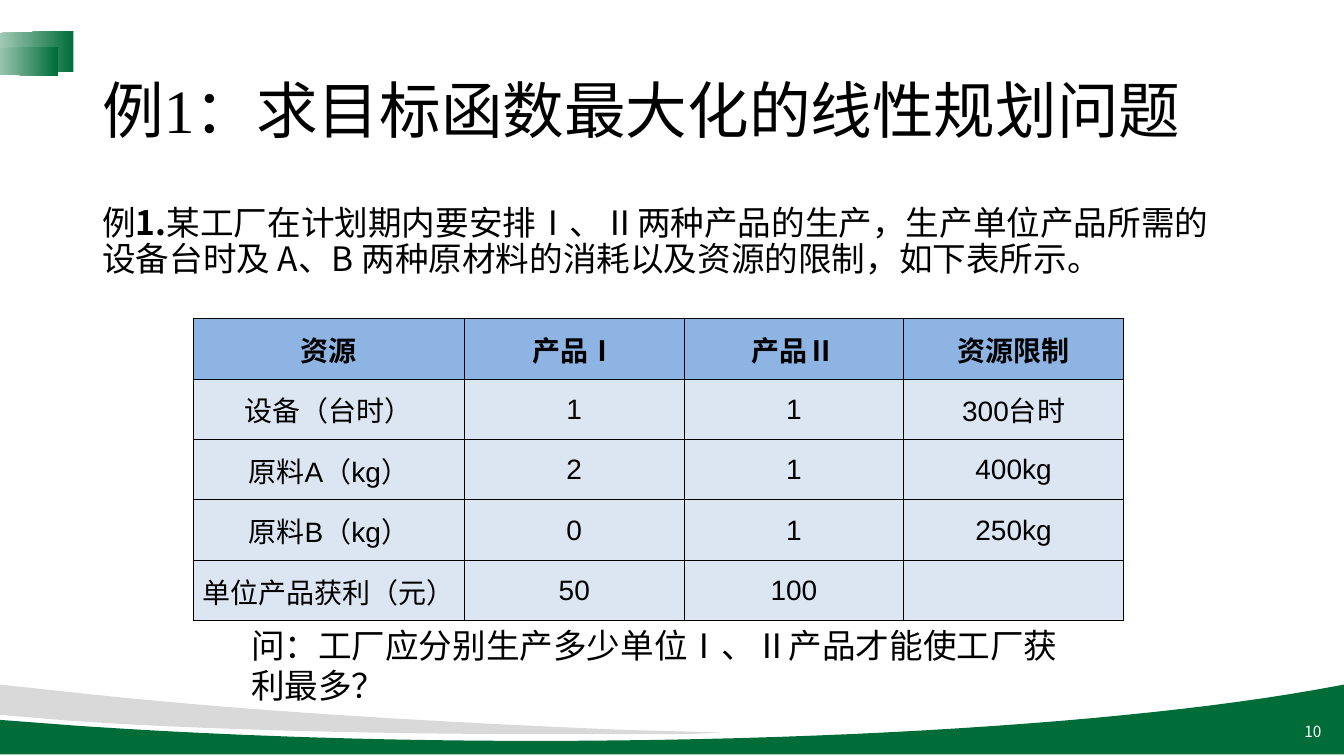
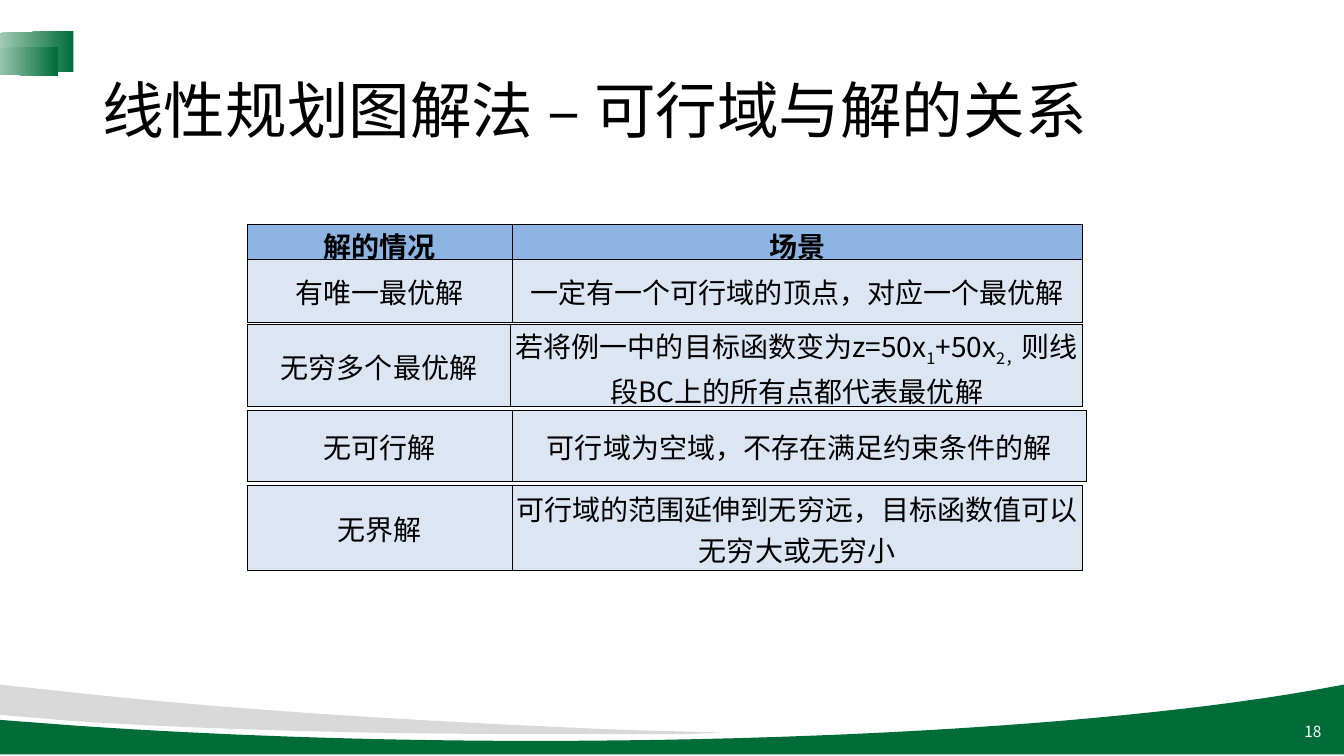
import pptx
import pptx.dml.color
import pptx.enum.shapes
import pptx.enum.text
import pptx.oxml
import pptx.oxml.ns
import pptx.util

# The slide is a grid of 160 columns by 90 rows of square cells.
CELL = pptx.util.Inches(1) / 12
GREEN, MIST, GREY = "006D39", "C4DDD0", "D9D9D9"
HEAD, BODY, BLACK, WHITE = "8DB4E2", "DCE6F2", "000000", "FFFFFF"
SANS, SERIF, ARIAL = "Noto Sans CJK SC", "Times New Roman", "Arial"
MIDDLE = pptx.enum.text.MSO_ANCHOR.MIDDLE
LEFT = pptx.enum.text.PP_ALIGN.LEFT
CENTER = pptx.enum.text.PP_ALIGN.CENTER
RIGHT = pptx.enum.text.PP_ALIGN.RIGHT
NS = pptx.oxml.ns.nsdecls("a")

# Outlines: a pair is a straight step, six numbers are a Bezier curve.
SWOOSHES = [
    (GREEN, [(160, 81.5), (160, 89.8), (0, 89.8), (0, 85.7), (9.2, 86.4),
             (25.4, 87.5, 44, 88.2, 63.8, 88.2),
             (103.4, 88.2, 138.4, 85.6, 158.9, 81.7)]),
    (GREY, [(0, 81.5), (8.4, 82.4), (27.5, 84.5, 50, 85.9, 74.6, 86.9),
            (85.8, 87.2), (82.1, 87.4), (76.8, 87.4, 71.3, 87.4, 65.8, 87.4),
            (43.3, 87.4, 23, 86.8, 8.3, 85.8), (0, 85.1)]),
]
TABS = [(1, 0.8, 4.9, 10.6), (0.7, 2.9, 3.5, 8.8)]

# Texts: box, line spacing, runs. Tables: left, top, columns, rows, cells.
SLIDES = [
    dict(number="10", title="例1：求目标函数最大化的线性规划问题", font=ARIAL,
         texts=[
             ((11, 24, 138, 57.1), 0.9, [
                 ("例", ""), ("1.", "bold"),
                 ("某工厂在计划期内要安排Ⅰ、Ⅱ两种产品的生产，生产单位产品所需的"
                  "设备台时及 A、B 两种原材料的消耗以及资源的限制，如下表所示。", "")]),
             ((28.7, 73.8, 99.2, 11.4), 1, [
                 ("问：工厂应分别生产多少单位Ⅰ、Ⅱ产品才能使工厂获利最多？", "")]),
         ],
         tables=[(23, 37.9, [32.3] + [26.15] * 3, [7.2] * 5, [
             ["资源", "产品Ⅰ", "产品Ⅱ", "资源限制"],
             ["设备（台时）", "1", "1", "300台时"],
             ["原料A（kg）", "2", "1", "400kg"],
             ["原料B（kg）", "0", "1", "250kg"],
             ["单位产品获利（元）", "50", "100", ""]])]),
    dict(number="18", title="线性规划图解法 – 可行域与解的关系", font=SANS, texts=[],
         tables=[
             (29.4, 26.7, [31.55, 67.9], [4.1, 7.6], [
                 ["解的情况", "场景"],
                 ["有唯一最优解", "一定有一个可行域的顶点，对应一个最优解"]]),
             (29.45, 38.6, [31.35, 68.1], [9.8], [
                 ["无穷多个最优解", [
                     ("若将例一中的目标函数变为z=50x", ""), ("1", "sub"),
                     ("+50x", ""), ("2，", "sub"),
                     ("则线段BC上的所有点都代表最优解", "")]]]),
             (29.4, 48.85, [31.65, 68.25], [8.5], [
                 ["无可行解", "可行域为空域，不存在满足约束条件的解"]]),
             (29.4, 57.75, [31.55, 67.9], [10.2], [
                 ["无界解", "可行域的范围延伸到无穷远，目标函数值可以无穷大或无穷小"]]),
         ]),
]


def rgb(value):
    return pptx.dml.color.RGBColor.from_string(value)


def write(tf, runs, font, size, color=BLACK, align=LEFT, spacing=1):
    """Fill the first paragraph with (text, style) runs; style is "", "bold" or "sub"."""
    tf.word_wrap = True
    p = tf.paragraphs[0]
    p.alignment, p.line_spacing = align, spacing
    for text, style in runs:
        r = p.add_run()
        r.text = text
        r.font.name, r.font.size = font, pptx.util.Pt(size)
        r.font.bold = style == "bold"
        r.font.color.rgb = rgb(color)
        rPr = r._r.get_or_add_rPr()
        rPr.append(pptx.oxml.parse_xml(f'<a:ea {NS} typeface="{SANS}"/>'))
        if style == "sub":
            rPr.set("baseline", "-25000")


prs = pptx.Presentation()
prs.slide_width, prs.slide_height = int(160 * CELL), int(90 * CELL)

for page in SLIDES:
    s = prs.slides.add_slide(prs.slide_layouts[6])

    for color, outline in SWOOSHES:
        points = [outline[0]]
        for step in outline[1:]:
            if len(step) == 2:
                points.append(step)
                continue
            x0, y0 = points[-1]
            x1, y1, x2, y2, x3, y3 = step
            for t in [i / 24 for i in range(1, 25)]:
                a, b, c, d = (1 - t) ** 3, 3 * t * (1 - t) ** 2, 3 * t * t * (1 - t), t ** 3
                points.append((a * x0 + b * x1 + c * x2 + d * x3,
                               a * y0 + b * y1 + c * y2 + d * y3))
        points = [(x * CELL, y * CELL) for x, y in points]
        builder = s.shapes.build_freeform(*points[0])
        builder.add_line_segments(points[1:])
        sp = builder.convert_to_shape()
        sp.shadow.inherit = False
        sp.fill.solid()
        sp.fill.fore_color.rgb = rgb(color)
        sp.line.fill.background()

    for box in TABS:
        sp = s.shapes.add_shape(pptx.enum.shapes.MSO_SHAPE.TRAPEZOID,
                                *[int(v * CELL) for v in box])
        sp.adjustments[0] = 0.07
        sp.rotation = 270
        sp.shadow.inherit = False
        sp.line.fill.background()
        sp.fill.gradient()
        sp.fill.gradient_angle = 270
        for stop, color, position in zip(sp.fill.gradient_stops, (MIST, GREEN), (0, 1)):
            stop.color.rgb, stop.position = rgb(color), position

    texts = [
        ((122.5, 84.7, 36, 4.8), 1, [(page["number"], "")], SANS, 11, WHITE, RIGHT, MIDDLE),
        ((11, 4.8, 138, 17.4), 0.9, [(page["title"], "")], SERIF, 44, BLACK, LEFT, MIDDLE),
    ] + [(*text, SANS, 24, BLACK, LEFT, pptx.enum.text.MSO_ANCHOR.TOP)
         for text in page["texts"]]
    for box, spacing, runs, font, size, color, align, anchor in texts:
        tf = s.shapes.add_textbox(*[int(v * CELL) for v in box]).text_frame
        tf.vertical_anchor = anchor
        write(tf, runs, font, size, color, align, spacing)

    for number, (left, top, widths, heights, rows) in enumerate(page["tables"]):
        frame = s.shapes.add_table(
            len(rows), len(widths),
            *[int(v * CELL) for v in (left, top, sum(widths), sum(heights))])
        table = frame.table
        table.first_row = table.horz_banding = False
        for column, width in zip(table.columns, widths):
            column.width = int(width * CELL)
        for i, (height, row) in enumerate(zip(heights, rows)):
            table.rows[i].height = int(height * CELL)
            header = number == 0 and i == 0
            for j, content in enumerate(row):
                cell = table.cell(i, j)
                cell.vertical_anchor = MIDDLE
                cell.margin_left = cell.margin_right = cell.margin_top = pptx.util.Inches(0.01)
                cell.margin_bottom = 0
                cell.fill.solid()
                cell.fill.fore_color.rgb = rgb(HEAD if header else BODY)
                tcPr = cell._tc.get_or_add_tcPr()
                for k, side in enumerate("LRTB"):
                    tcPr.insert(k, pptx.oxml.parse_xml(
                        f'<a:ln{side} {NS} w="6350"><a:solidFill>'
                        f'<a:srgbClr val="{BLACK}"/></a:solidFill></a:ln{side}>'))
                if content:
                    runs = content
                    if isinstance(content, str):
                        runs = [(content, "bold" if header else "")]
                    write(cell.text_frame, runs, page["font"], 20, align=CENTER)

prs.save("out.pptx")
